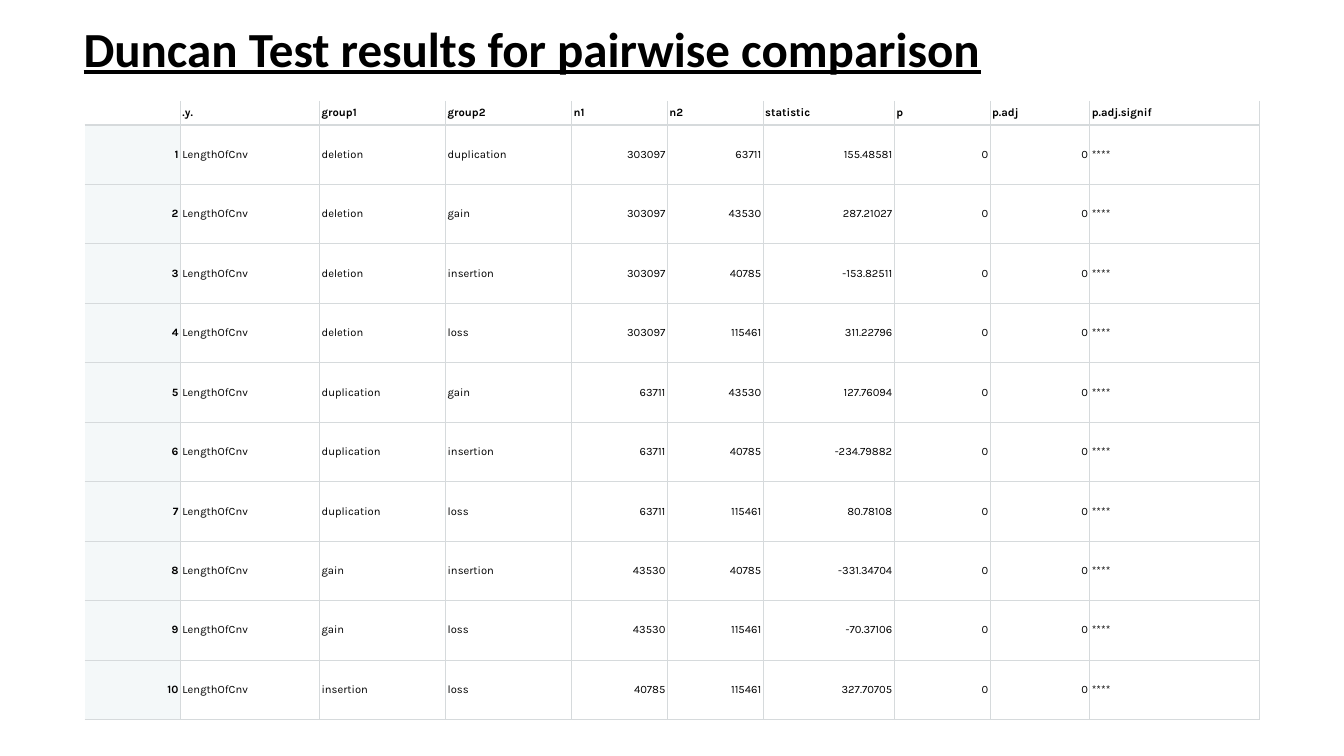
from dataclasses import dataclass
from itertools import combinations

from lxml import etree
from pptx import Presentation, util as u
from pptx.dml.color import RGBColor
from pptx.enum import text
from pptx.oxml import ns


@dataclass(frozen=True)
class Theme:
    ink: str = "000000"
    rule: str = "D6DADC"
    index_fill: str = "F4F8F9"
    title_font: str = "Calibri"
    table_font: str = "Karla"
    title_size: float = 35
    table_size: float = 8
    thin: float = 0.75
    thick: float = 1
    table_style: str = "{2D5ABB26-0587-4C30-8999-92F81FD0307C}"


@dataclass(frozen=True)
class Box:
    col: int
    row: int
    cols: int
    rows: int


@dataclass(frozen=True)
class Column:
    heading: str
    cols: int
    numeric: bool = False


@dataclass(frozen=True)
class Group:
    name: str
    size: int


THEME = Theme()
UNIT = u.Inches(0.01)
SLIDE = Box(0, 0, 1333, 750)
TITLE = Box(73, 13, 1132, 69)
HEADER_ROWS, BODY_ROWS, CELL_INSET = 24, 59, 2
COLUMNS = [
    Column("", 95, True),
    Column(".y.", 138),
    Column("group1", 125),
    Column("group2", 125),
    Column("n1", 95, True),
    Column("n2", 95, True),
    Column("statistic", 130, True),
    Column("p", 95, True),
    Column("p.adj", 99, True),
    Column("p.adj.signif", 168),
]
GROUPS = [
    Group("deletion", 303097),
    Group("duplication", 63711),
    Group("gain", 43530),
    Group("insertion", 40785),
    Group("loss", 115461),
]
STATISTICS = [
    "155.48581", "287.21027", "-153.82511", "311.22796", "127.76094",
    "-234.79882", "80.78108", "-331.34704", "-70.37106", "327.70705",
]


def table_rows() -> list[list[str]]:
    rows = [[c.heading for c in COLUMNS]]
    pairs = combinations(GROUPS, 2)
    for i, ((a, b), statistic) in enumerate(zip(pairs, STATISTICS), 1):
        rows.append([str(i), "LengthOfCnv", a.name, b.name, str(a.size),
                     str(b.size), statistic, "0", "0", "****"])
    return rows


def place(box: Box) -> list[int]:
    return [n * UNIT for n in (box.col, box.row, box.cols, box.rows)]


def style_run(r, font: str, size: float, bold: bool) -> None:
    r.font.name = font
    r.font.size = u.Pt(size)
    r.font.bold = bold
    r.font.color.rgb = RGBColor.from_string(THEME.ink)


def add_title(s, title: str) -> None:
    tf = s.shapes.add_textbox(*place(TITLE)).text_frame
    tf.word_wrap = True
    tf.auto_size = text.MSO_AUTO_SIZE.SHAPE_TO_FIT_TEXT
    tf.text = title
    r = tf.paragraphs[0].runs[0]
    style_run(r, THEME.title_font, THEME.title_size, True)
    r.font.underline = True


def set_borders(cell, row: int, col: int) -> None:
    widths = {
        "lnL": THEME.thin if col else 0,
        "lnR": THEME.thin,
        "lnT": (0, THEME.thick)[row] if row < 2 else THEME.thin,
        "lnB": THEME.thin if row else THEME.thick,
    }
    tc_pr = cell._tc.get_or_add_tcPr()
    for tag, width in widths.items():
        ln = etree.SubElement(tc_pr, ns.qn(f"a:{tag}"), w=str(u.Pt(width)))
        if width:
            fill = etree.SubElement(ln, ns.qn("a:solidFill"))
            etree.SubElement(fill, ns.qn("a:srgbClr"), val=THEME.rule)
        else:
            etree.SubElement(ln, ns.qn("a:noFill"))


def fill_cell(cell, value: str, row: int, col: int) -> None:
    set_borders(cell, row, col)
    if row and not col:
        cell.fill.solid()
        cell.fill.fore_color.rgb = RGBColor.from_string(THEME.index_fill)
    else:
        cell.fill.background()
    cell.margin_left = cell.margin_right = CELL_INSET * UNIT
    cell.margin_top = cell.margin_bottom = CELL_INSET * UNIT
    cell.vertical_anchor = text.MSO_ANCHOR.MIDDLE
    cell.text_frame.text = value
    p = cell.text_frame.paragraphs[0]
    if row and COLUMNS[col].numeric:
        p.alignment = text.PP_ALIGN.RIGHT
    for r in p.runs:
        style_run(r, THEME.table_font, THEME.table_size, not row or not col)
    if not value:
        etree.SubElement(p._p, ns.qn("a:endParaRPr"),
                         sz=str(u.Pt(THEME.table_size).centipoints))


def add_results(s, rows: list[list[str]]) -> None:
    heights = [HEADER_ROWS] + [BODY_ROWS] * (len(rows) - 1)
    box = Box(84, 100, sum(c.cols for c in COLUMNS), sum(heights))
    table = s.shapes.add_table(len(rows), len(COLUMNS), *place(box)).table
    table.horz_banding = False
    table._tbl.tblPr.find(ns.qn("a:tableStyleId")).text = THEME.table_style
    for table_col, column in zip(table.columns, COLUMNS):
        table_col.width = column.cols * UNIT
    for row, values in enumerate(rows):
        table.rows[row].height = heights[row] * UNIT
        for col, value in enumerate(values):
            fill_cell(table.cell(row, col), value, row, col)


def main() -> None:
    prs = Presentation()
    prs.slide_width, prs.slide_height = place(SLIDE)[2:]
    s = prs.slides.add_slide(prs.slide_layouts[6])
    add_title(s, "Duncan Test results for pairwise comparison")
    add_results(s, table_rows())
    prs.save("out.pptx")


if __name__ == "__main__":
    main()
